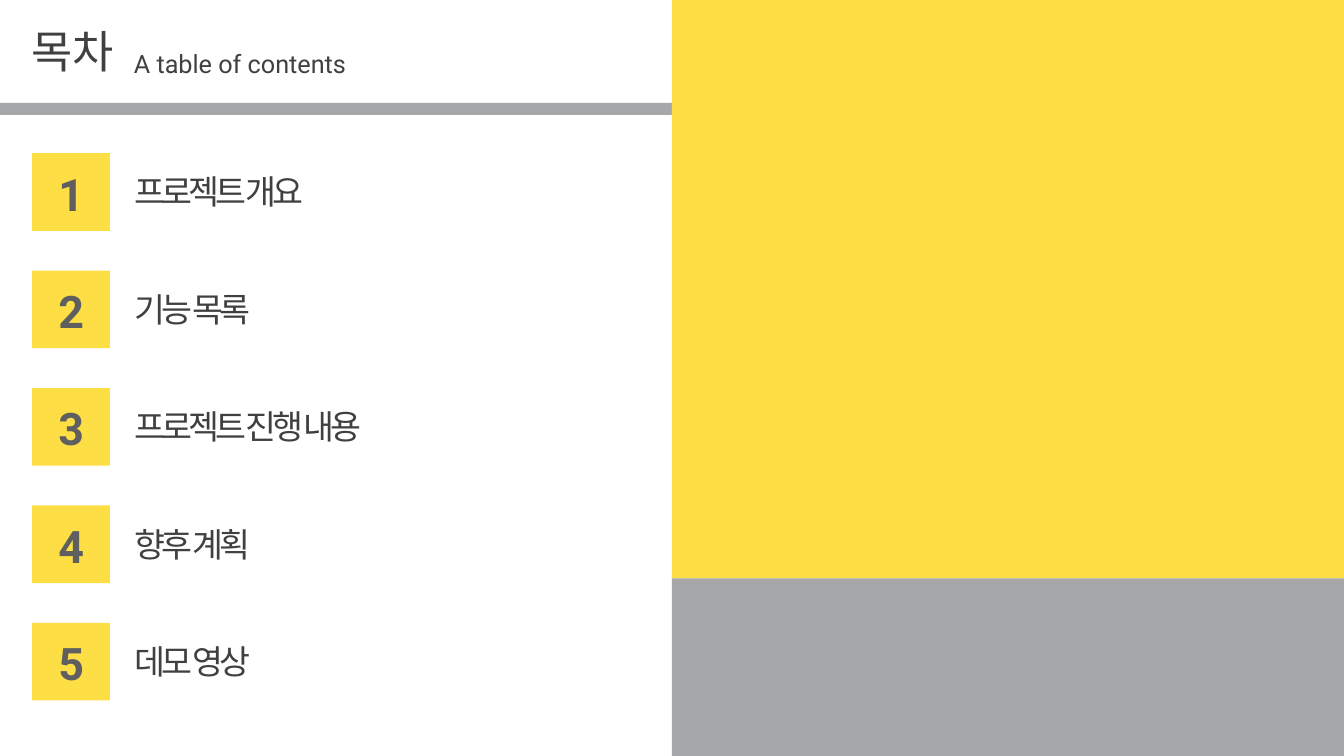
from dataclasses import dataclass

from lxml.etree import SubElement
from pptx import Presentation
from pptx.dml.color import RGBColor
from pptx.enum.shapes import MSO_SHAPE as Preset
from pptx.enum.text import MSO_ANCHOR as Anchor, MSO_AUTO_SIZE as AutoSize, PP_ALIGN as Align
from pptx.oxml.ns import qn
from pptx.util import Inches, Pt


@dataclass(frozen=True)
class Theme:
    font: str = "Roboto"
    yellow: str = "FDDE45"
    gray: str = "A6A7A9"
    text: str = "404040"
    number: str = "5F5F5F"
    title_size: int = 32
    item_size: int = 24
    subtitle_size: int = 18
    item_spacing: int = -3


THEME = Theme()
WIDTH, HEIGHT = 13.33, 7.5
ITEMS = ["프로젝트 개요", "기능 목록", "프로젝트 진행 내용", "향후 계획", "데모 영상"]


def add_block(shapes, box, color):
    shape = shapes.add_shape(Preset.RECTANGLE, *map(Inches, box))
    shape.shadow.inherit = False
    shape.fill.solid()
    shape.fill.fore_color.rgb = RGBColor.from_string(color)
    shape.line.fill.background()


def add_text(shapes, box, text, size, color=THEME.text, bold=False,
             align=Align.LEFT, wrap=True, spacing=0):
    text_frame = shapes.add_textbox(*map(Inches, box)).text_frame
    text_frame.text = text
    text_frame.word_wrap = wrap
    text_frame.auto_size = AutoSize.SHAPE_TO_FIT_TEXT
    text_frame.vertical_anchor = Anchor.TOP
    paragraph = text_frame.paragraphs[0]
    paragraph.alignment = align
    run = paragraph.runs[0]
    run.font.size = Pt(size)
    run.font.bold = bold
    run.font.color.rgb = RGBColor.from_string(color)
    run.font.name = THEME.font
    # Hangul font and letter spacing
    properties = run._r.get_or_add_rPr()
    SubElement(properties, qn("a:ea")).set("typeface", THEME.font)
    if spacing:
        properties.set("spc", str(spacing * 100))


def add_header(shapes, box):
    left, top, width, height = box
    rule = 0.12
    add_block(shapes, (left, top + height - rule, width, rule), THEME.gray)
    add_text(shapes, (left + 0.21, top + 0.19, 1.07, 0.64), "목차",
             THEME.title_size, wrap=False)
    add_text(shapes, (left + 1.23, top + 0.43, 3.54, 0.4), "A table of contents",
             THEME.subtitle_size)


def add_item(shapes, box, number, label):
    left, top, width, side = box
    group = shapes.add_group_shape().shapes
    add_block(group, (left, top, side, side), THEME.yellow)
    add_text(group, (left + 0.16, top + 0.08, side - 0.32, 0.64), str(number),
             THEME.title_size, THEME.number, bold=True, align=Align.CENTER, wrap=False)
    text_left = side + 0.15
    add_text(group, (left + text_left, top + 0.13, width - text_left, 0.5), label,
             THEME.item_size, spacing=THEME.item_spacing)


def add_contents(shapes, box):
    left, top, width, height = box
    side = 0.77
    pitch = (height - side) / (len(ITEMS) - 1)
    for index, label in enumerate(ITEMS):
        add_item(shapes, (left, top + index * pitch, width, side), index + 1, label)


def add_side_panel(shapes, box):
    left, top, width, height = box
    yellow_height = height * 0.765
    add_block(shapes, (left, top, width, yellow_height), THEME.yellow)
    add_block(shapes, (left, top + yellow_height, width, height - yellow_height), THEME.gray)


def add_contents_slide(presentation):
    slide = presentation.slides.add_slide(presentation.slide_layouts[6])
    half = WIDTH / 2
    add_header(slide.shapes, (0, 0, half, 1.14))
    add_contents(slide.shapes, (0.32, 1.52, 4.85, 5.43))
    add_side_panel(slide.shapes, (half, 0, half, HEIGHT))


def main():
    presentation = Presentation()
    presentation.slide_width = Inches(WIDTH)
    presentation.slide_height = Inches(HEIGHT)
    add_contents_slide(presentation)
    presentation.save("out.pptx")


if __name__ == "__main__":
    main()
